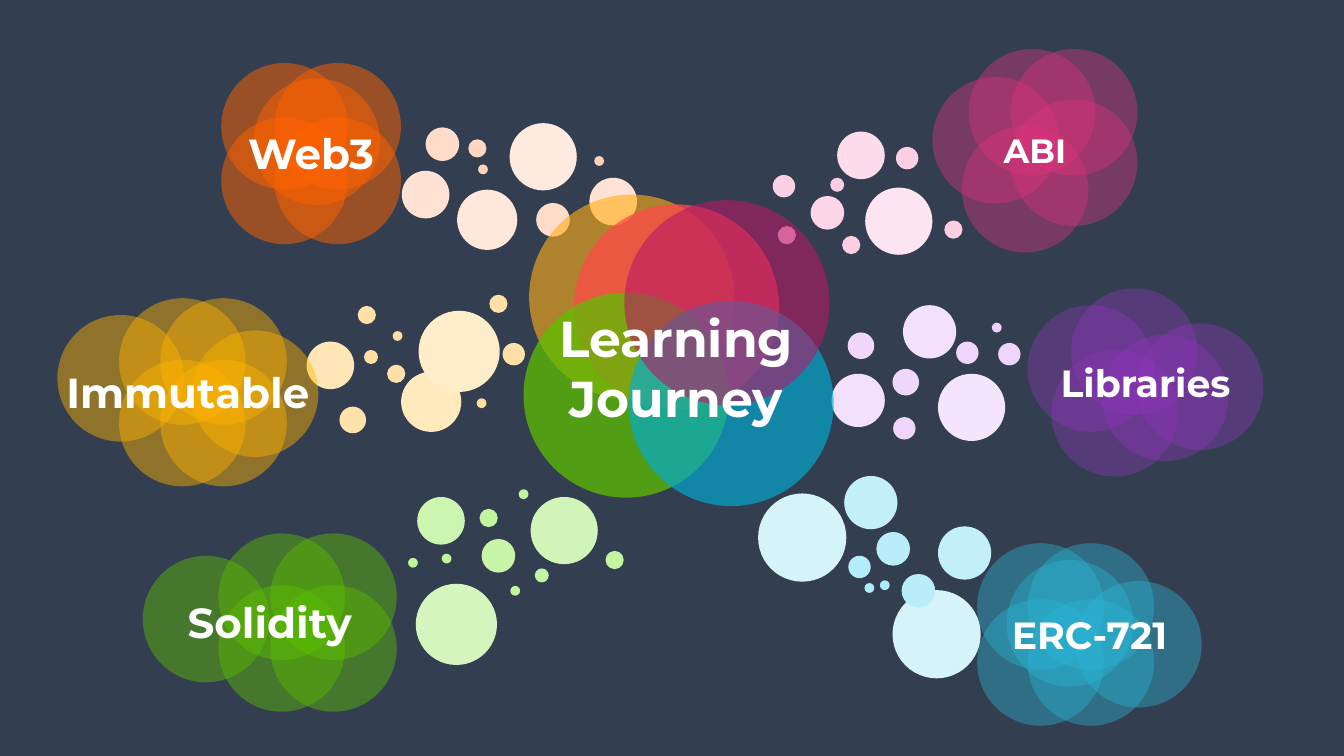
"""Build a slide of bubble clusters around a central learning journey hub."""
import itertools

import pptx
import pptx.dml.color
import pptx.enum.shapes
import pptx.enum.text
import pptx.oxml
import pptx.oxml.ns
import pptx.util

Pt = pptx.util.Pt
RGB = pptx.dml.color.RGBColor

NAVY = RGB.from_string("333F50")
WHITE = RGB.from_string("FFFFFF")
GREEN = RGB.from_string("5CBF00")
PURPLE = RGB.from_string("8C35B8")
AMBER = RGB.from_string("FFB300")
PINK = RGB.from_string("DE337D")
BLUE = RGB.from_string("2BB5D6")
ORANGE = RGB.from_string("FF6200")
HUB_GOLD = RGB.from_string("FFAE17")
HUB_RED = RGB.from_string("FF4A4A")
HUB_BLUE = RGB.from_string("00ADD6")
HUB_MAGENTA = RGB.from_string("B81866")

DOT, BEAD, PEA, BERRY, GRAPE, CHERRY = 7, 10, 13, 16, 19, 24
PLUM, PEACH, APPLE, ORB, GLOBE, GIANT = 34, 38, 43, 48, 58, 63
PETAL = 90.4
HUB = 146.5
LINE_HEIGHT = 1.22

CLUSTERS = [
    {"label": "Solidity", "size": 30, "width": 135,
     "colour": GREEN, "opacity": 44, "tints": ("C1F59D", "D5F5BF"),
     "bubbles": {
         GLOBE: [(326, 446)], ORB: [(403, 379)], PLUM: [(315, 372)],
         CHERRY: [(356, 397)], PEA: [(349, 370), (439, 400)],
         BEAD: [(387, 411)],
         DOT: [(319, 399), (368, 422), (295, 402), (374, 353)]},
     "columns": (156, 193), "rows": (381, 418), "petals": [(102, 397)]},
    {"label": "Libraries", "size": 27, "width": 128,
     "colour": PURPLE, "opacity": 40, "tints": ("EDD1FC", "F4E5FC"),
     "bubbles": {
         ORB: [(694, 291)], PEACH: [(664, 237), (613, 286)],
         GRAPE: [(647, 273), (615, 247)],
         BERRY: [(646, 306), (691, 252), (721, 253)], DOT: [(712, 234)]},
     "columns": (), "rows": (),
     "petals": [(812, 231), (765, 206), (734, 218), (751, 250), (787, 239)]},
    {"label": "Immutable", "size": 30, "width": 179,
     "colour": AMBER, "opacity": 45, "tints": ("FFDEA1", "FFEDC9"),
     "bubbles": {
         APPLE: [(308, 287)], GLOBE: [(328, 251)], PLUM: [(236, 261)],
         GRAPE: [(252, 300)], BERRY: [(367, 253)],
         PEA: [(283, 267), (262, 225), (356, 217)], BEAD: [(265, 255)],
         DOT: [(284, 240), (344, 288)]},
     "columns": (85, 114.5), "rows": (213, 257),
     "petals": [(41, 225), (137, 236)]},
    {"label": "ABI", "size": 24, "width": 117,
     "colour": PINK, "opacity": 40, "tints": ("FCCCE2", "FCE5F0"),
     "bubbles": {
         ORB: [(642, 158)], PLUM: [(615, 111)], CHERRY: [(591, 152)],
         BERRY: [(560, 133), (648, 113)],
         PEA: [(562, 168), (608, 175), (681, 164)], BEAD: [(598, 132)]},
     "columns": (692, 722), "rows": (35,),
     "petals": [(687, 90), (722, 71), (666, 55)]},
    {"label": "ERC-721", "size": 27, "width": 115,
     "colour": BLUE, "opacity": 40, "tints": ("ACEBFA", "D6F3FA"),
     "bubbles": {
         GIANT: [(573, 384), (669, 453)], PEACH: [(689, 395), (622, 359)],
         CHERRY: [(638, 392), (656, 422)], BERRY: [(614, 405)],
         DOT: [(632, 418), (621, 420)]},
     "columns": (698, 734), "rows": (388, 428),
     "petals": [(768, 415), (719, 400)]},
    {"label": "Web3", "size": 30, "width": 93,
     "colour": ORANGE, "opacity": 50, "tints": ("FFD2BA", "FFEAE0"),
     "bubbles": {
         ORB: [(388, 112)], APPLE: [(348, 157)],
         PLUM: [(438, 144), (304, 139)], CHERRY: [(395, 157), (316, 103)],
         PEA: [(341, 106)], DOT: [(345, 121), (428, 115)]},
     "columns": (158, 196), "rows": (45, 84), "petals": [(181, 56)]},
]

HUB_CIRCLES = [
    (378, 139, HUB_GOLD, 61),
    (410, 146, HUB_RED, 75),
    (374, 209, GREEN, 74),
    (449, 215, HUB_BLUE, 65),
    (446, 143, HUB_MAGENTA, 58),
]
HUB_LABEL = ("Learning Journey", 36, 194, 483, 263, 2)

FRAME_FORMAT = {
    "margin_left": 0, "margin_top": 0, "margin_right": 0, "margin_bottom": 0,
    "word_wrap": True, "vertical_anchor": pptx.enum.text.MSO_ANCHOR.TOP,
}
FONT_FORMAT = {"name": "Montserrat", "bold": True}


def apply_format(target, values):
    for name, value in values.items():
        setattr(target, name, value)


def add_circle(shapes, left, top, diameter, colour, opacity=100):
    circle = shapes.add_shape(pptx.enum.shapes.MSO_SHAPE.OVAL,
                              Pt(left), Pt(top), Pt(diameter), Pt(diameter))
    circle.shadow.inherit = False
    circle.line.fill.background()
    circle.fill.solid()
    circle.fill.fore_color.rgb = colour
    if opacity < 100:
        colour_element = circle._element.spPr.find(
            ".//" + pptx.oxml.ns.qn("a:srgbClr"))
        colour_element.append(pptx.oxml.parse_xml(
            f'<a:alpha {pptx.oxml.ns.nsdecls("a")} val="{opacity * 1000}"/>'))


def blend(tints, share):
    dark, light = map(RGB.from_string, tints)
    return RGB(*(round(low + (high - low) * share)
                 for low, high in zip(dark, light)))


def petal_corners(cluster):
    grid = itertools.product(cluster["columns"], cluster["rows"])
    return cluster["petals"] + list(grid)


def add_cluster(slide, cluster):
    shapes = slide.shapes.add_group_shape().shapes
    smallest, largest = min(cluster["bubbles"]), max(cluster["bubbles"])
    for diameter, centres in cluster["bubbles"].items():
        share = (diameter - smallest) / (largest - smallest)
        colour = blend(cluster["tints"], share)
        for x, y in centres:
            add_circle(shapes, x - diameter / 2, y - diameter / 2, diameter, colour)
    for left, top in petal_corners(cluster):
        add_circle(shapes, left, top, PETAL, cluster["colour"], cluster["opacity"])


def add_label(slide, text, size, width, x, y, lines=1):
    height = size * LINE_HEIGHT * lines
    box = (x - width / 2, y - height / 2, width, height)
    frame = slide.shapes.add_textbox(*map(Pt, box)).text_frame
    apply_format(frame, FRAME_FORMAT)
    paragraph = frame.paragraphs[0]
    paragraph.alignment = pptx.enum.text.PP_ALIGN.CENTER
    run = paragraph.add_run()
    run.text = text
    apply_format(run.font, {**FONT_FORMAT, "size": Pt(size)})
    run.font.color.rgb = WHITE


def add_cluster_label(slide, cluster):
    x, y = ((min(places) + max(places) + PETAL) / 2
            for places in zip(*petal_corners(cluster)))
    add_label(slide, cluster["label"], cluster["size"], cluster["width"], x, y)


def main():
    presentation = pptx.Presentation()
    apply_format(presentation, {"slide_width": Pt(960), "slide_height": Pt(540)})
    slide = presentation.slides.add_slide(presentation.slide_layouts[6])
    slide.background.fill.solid()
    slide.background.fill.fore_color.rgb = NAVY
    for cluster in CLUSTERS:
        add_cluster(slide, cluster)
    for left, top, colour, opacity in HUB_CIRCLES:
        add_circle(slide.shapes, left, top, HUB, colour, opacity)
    for cluster in CLUSTERS:
        add_cluster_label(slide, cluster)
    add_label(slide, *HUB_LABEL)
    presentation.save("out.pptx")


if __name__ == "__main__":
    main()
